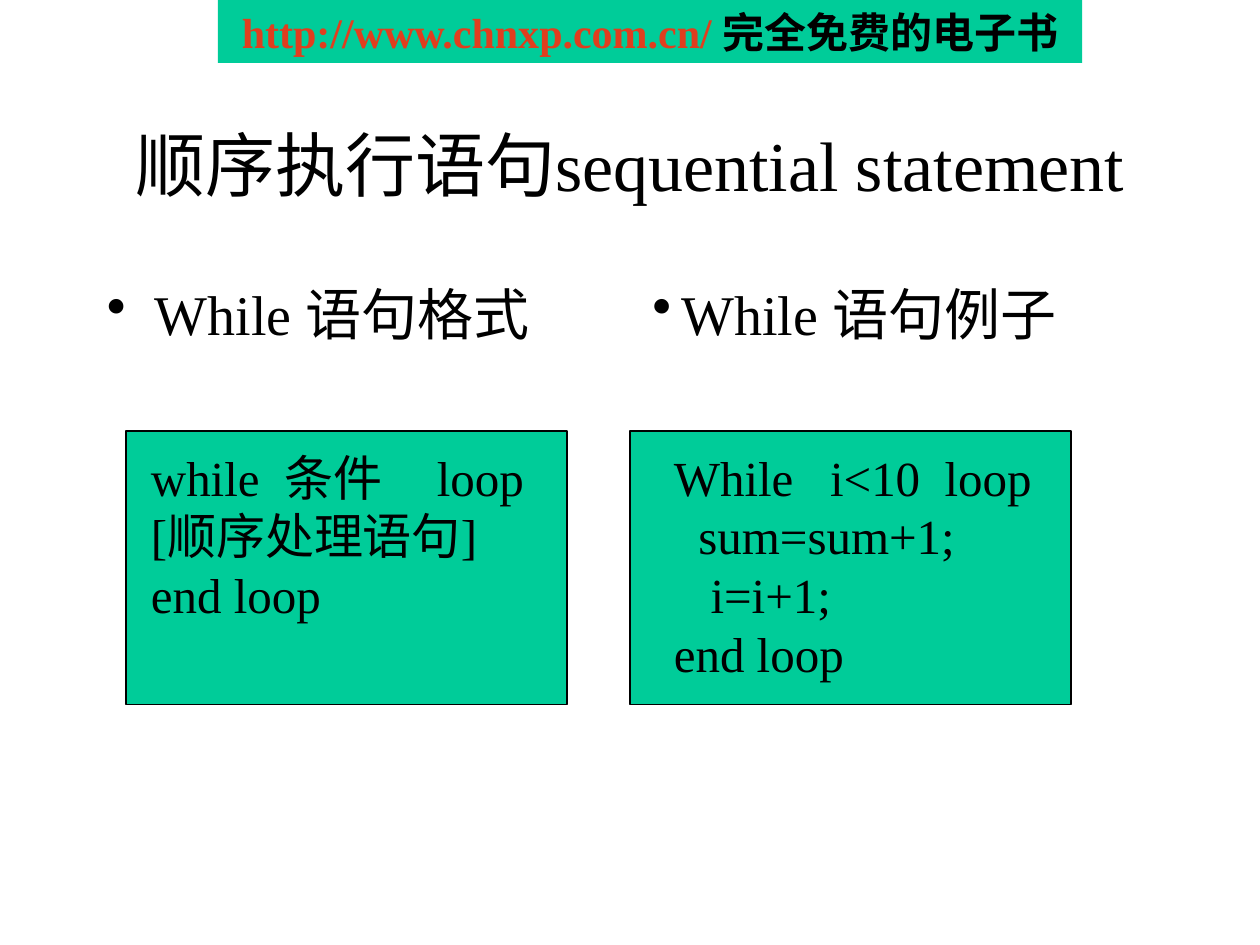
from lxml.etree import SubElement
from pptx import Presentation
from pptx.dml.color import RGBColor
from pptx.enum.shapes import MSO_SHAPE
from pptx.enum.text import MSO_ANCHOR, MSO_AUTO_SIZE, PP_ALIGN
from pptx.oxml.ns import qn
from pptx.util import Inches, Pt

BLACK = RGBColor(0x00, 0x00, 0x00)
GREEN = RGBColor(0x00, 0xCC, 0x99)
RED = RGBColor(0xE0, 0x3E, 0x1E)
FONT = "Times New Roman"

TITLE = "顺序执行语句sequential statement"
BANNER = [("http://www.chnxp.com.cn/ ", RED), ("完全免费的电子书", BLACK)]
COLUMNS = [
    {
        "heading": "While 语句格式", "heading_box": (0.75, 2.17, 3.67, 0.75),
        "hang": 0.38, "panel_left": 1,
        "code": ["while  条件     loop", "[顺序处理语句]", "end loop"],
        "code_box": (1.1, 3.5, 3.34, 1.5), "wrap": False,
    },
    {
        "heading": "While 语句例子", "heading_box": (5.08, 2.17, 3.43, 1.17),
        "hang": 0.23, "panel_left": 5,
        "code": ["While   i<10  loop", "  sum=sum+1;", "   i=i+1;", "end loop"],
        "code_box": (5.25, 3.5, 3.92, 1.97), "wrap": True,
    },
]
PANEL_TOP, PANEL_WIDTH, PANEL_HEIGHT = 3.42, 3.5, 2.17


def add_run(paragraph, text, size, color=BLACK, bold=False):
    run = paragraph.add_run()
    run.text = text
    for key, value in {"name": FONT, "size": Pt(size), "bold": bold}.items():
        setattr(run.font, key, value)
    run.font.color.rgb = color


def add_panel(slide, box):
    panel = slide.shapes.add_shape(MSO_SHAPE.RECTANGLE, *map(Inches, box))
    panel.shadow.inherit = False
    panel.fill.solid()
    panel.fill.fore_color.rgb = GREEN
    return panel


def add_text(slide, box, lines, size, wrap=True):
    frame = slide.shapes.add_textbox(*map(Inches, box)).text_frame
    frame.word_wrap = wrap
    for index, line in enumerate(lines):
        paragraph = frame.add_paragraph() if index else frame.paragraphs[0]
        add_run(paragraph, line, size)
    return frame


def add_bullet(paragraph, hang):
    properties = paragraph._p.get_or_add_pPr()
    properties.set("marL", str(Inches(hang)))
    properties.set("indent", str(-Inches(hang)))
    SubElement(properties, qn("a:buChar")).set("char", "•")


def add_banner(slide):
    banner = add_panel(slide, (1.73, 0, 6.86, 0.5))
    banner.line.fill.background()
    frame = banner.text_frame
    frame.word_wrap = False
    paragraph = frame.paragraphs[0]
    paragraph.alignment = PP_ALIGN.CENTER
    for text, color in BANNER:
        add_run(paragraph, text, 24, color, bold=True)


def set_title(slide):
    title = slide.shapes.title
    place = {"left": 0.75, "top": 0.67, "width": 8.5, "height": 1.25}
    for key, value in place.items():
        setattr(title, key, Inches(value))
    frame = title.text_frame
    frame.auto_size = MSO_AUTO_SIZE.NONE
    frame.vertical_anchor = MSO_ANCHOR.MIDDLE
    frame.paragraphs[0].alignment = PP_ALIGN.CENTER
    add_run(frame.paragraphs[0], TITLE, 40)


def add_column(slide, column):
    panel = add_panel(slide, (column["panel_left"], PANEL_TOP, PANEL_WIDTH, PANEL_HEIGHT))
    panel.line.color.rgb = BLACK
    panel.line.width = Pt(0.75)
    heading = add_text(slide, column["heading_box"], [column["heading"]], 32)
    add_bullet(heading.paragraphs[0], column["hang"])
    add_text(slide, column["code_box"], column["code"], 28, column["wrap"])


def main():
    deck = Presentation()
    deck.slide_width, deck.slide_height = Inches(10), Inches(7.5)
    slide = deck.slides.add_slide(deck.slide_layouts.get_by_name("Title Only"))
    add_banner(slide)
    set_title(slide)
    for column in COLUMNS:
        add_column(slide, column)
    deck.save("out.pptx")


if __name__ == "__main__":
    main()
